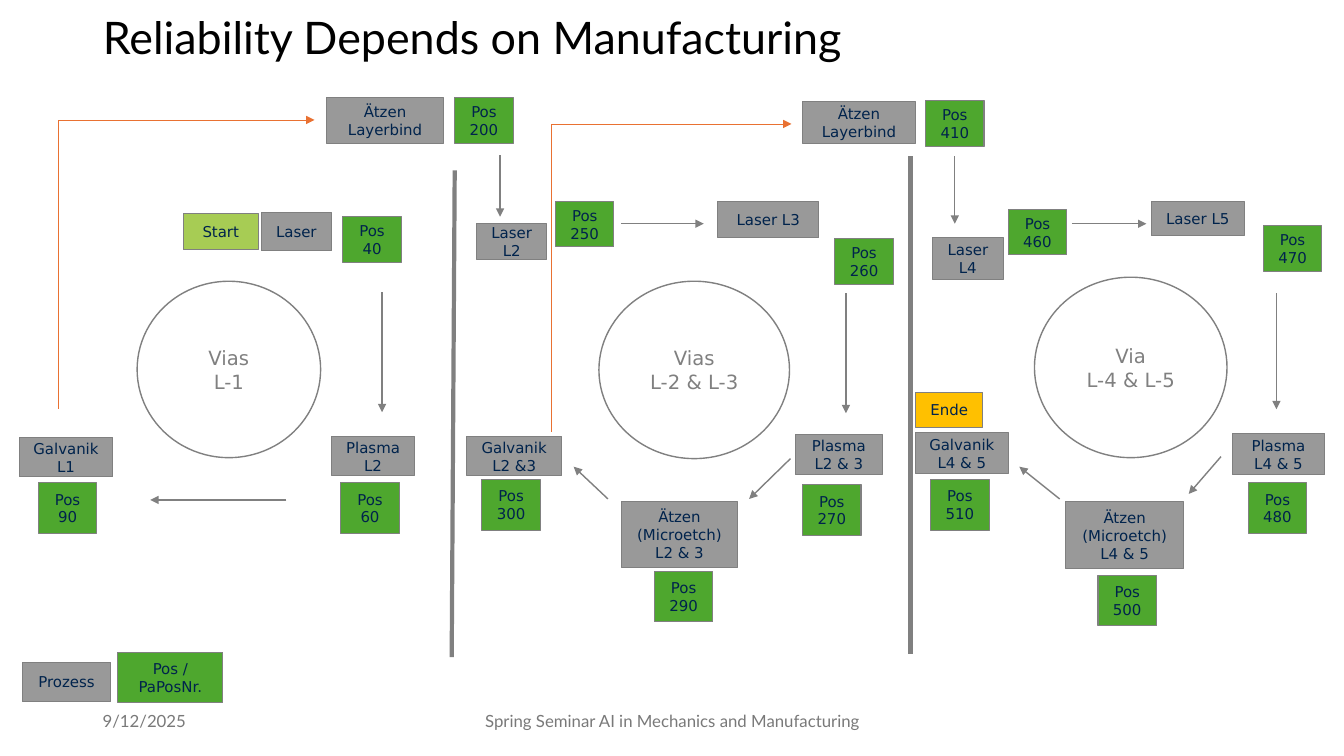
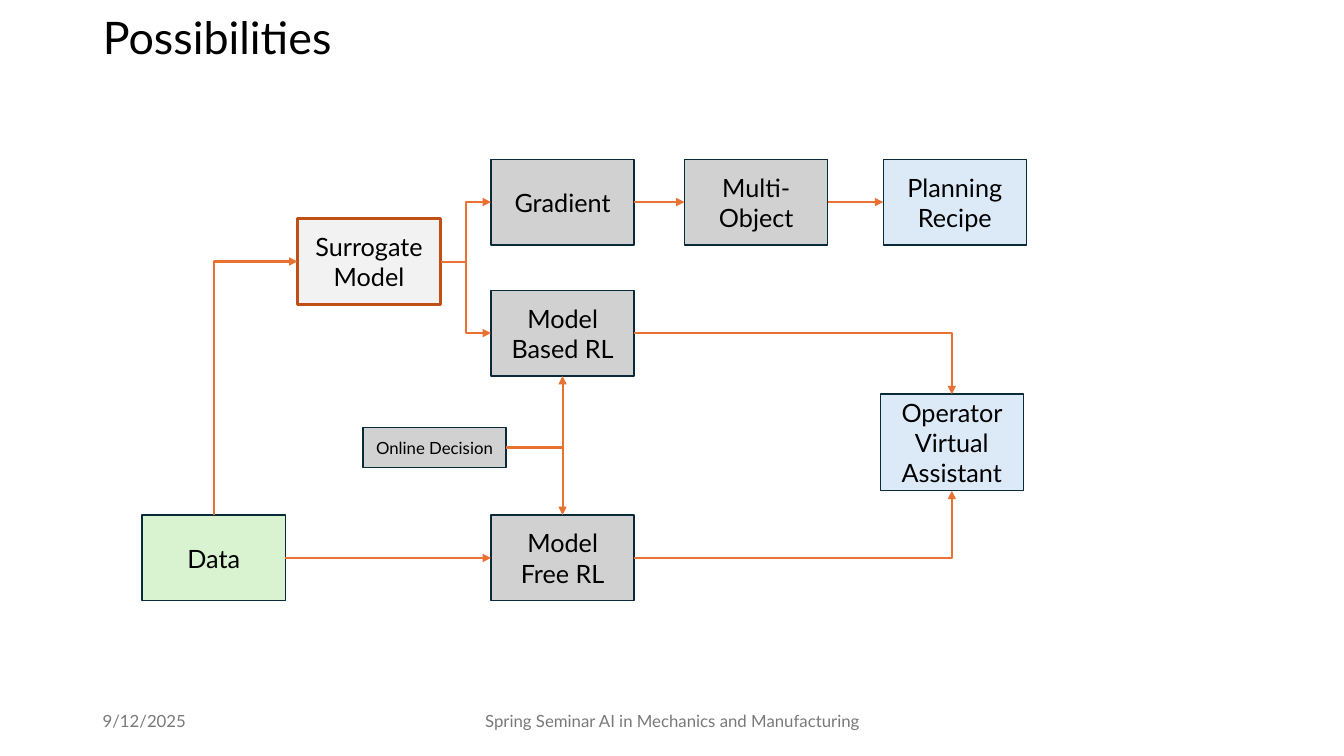
from lxml import etree
from pptx import Presentation
from pptx.dml.color import RGBColor
from pptx.enum.shapes import MSO_CONNECTOR, MSO_SHAPE
from pptx.enum.text import MSO_ANCHOR, MSO_AUTO_SIZE, PP_ALIGN
from pptx.oxml.ns import qn
from pptx.util import Inches, Pt

RECTANGLE, OVAL = MSO_SHAPE.RECTANGLE, MSO_SHAPE.OVAL
STRAIGHT, ELBOW = MSO_CONNECTOR.STRAIGHT, MSO_CONNECTOR.ELBOW
LEFT, CENTER = PP_ALIGN.LEFT, PP_ALIGN.CENTER
TOP, MIDDLE = MSO_ANCHOR.TOP, MSO_ANCHOR.MIDDLE
NO_FIT = MSO_AUTO_SIZE.NONE
TITLE_ONLY = 5
SITE = {"top": 0, "left": 1, "bottom": 2, "right": 3}

COLORS = {
    "black": "000000", "white": "FFFFFF", "footer": "797979",
    "navy": "00234C", "gray": "808080", "process": "999999",
    "position": "4EA72E", "start": "A7CC54", "end": "FFC000",
    "orange": "E97132", "outline": "092A39", "rust": "C04F15",
    "method": "D1D1D1", "model": "F2F2F2", "result": "DCEAF7", "data": "D9F2D0",
}
BODY_FONT, CHART_FONT = "Lato", "DejaVu Sans"

# The grid has cells of one inch: 13.33 columns by 7.5 rows
COLUMNS, ROWS = 13.33, 7.5
MARGIN = 0.92

# Manufacturing: text, left, top, width, height
PROCESSES = [
    ("Laser", 2.59, 2.11, 0.7, 0.38),
    ("Plasma L2", 3.29, 4.33, 0.82, 0.39),
    ("Galvanik L1", 0.19, 4.34, 0.93, 0.39),
    ("Ätzen Layerbind", 3.24, 0.97, 1.16, 0.45),
    ("Laser L2", 4.73, 2.22, 0.69, 0.36),
    ("Laser L3", 7.12, 2, 1, 0.36),
    ("Plasma\nL2 & 3", 7.89, 4.31, 0.86, 0.4),
    ("Ätzen (Microetch) L2 & 3", 6.16, 4.98, 1.16, 0.65),
    ("Galvanik\nL2 &3", 4.63, 4.33, 0.94, 0.39),
    ("Ätzen Layerbind", 7.96, 1.01, 1.12, 0.41),
    ("Laser L4", 9.25, 2.36, 0.7, 0.41),
    ("Laser L5", 11.42, 2, 0.92, 0.34),
    ("Plasma L4 & 5", 12.22, 4.3, 0.92, 0.41),
    ("Ätzen (Microetch)\nL4 & 5", 10.57, 4.98, 1.17, 0.66),
    ("Galvanik\nL4 & 5", 9.08, 4.29, 0.92, 0.41),
    ("Prozess", 0.22, 6.57, 0.88, 0.39),
]
# Position number, left, top; grouped by the height of the box
POSITION_WIDTH = 0.58
POSITIONS = {
    0.45: [(40, 3.4, 2.15), (200, 4.51, 0.97), (250, 5.51, 2), (260, 8.28, 2.37),
           (410, 9.18, 1), (460, 10, 2.08), (470, 12.53, 2.24)],
    0.5: [(60, 3.38, 4.79), (90, 0.38, 4.79), (270, 7.96, 4.81), (290, 6.49, 5.67),
          (300, 4.78, 4.76), (480, 12.38, 4.79), (500, 10.89, 5.71), (510, 9.23, 4.76)],
}
VIAS = [
    ("Vias\nL-1", 1.36, 2.79, 1.82, 1.75),
    ("Vias\nL-2 & L-3", 5.94, 2.79, 1.89, 1.76),
    ("Via\nL-4 & L-5", 10.26, 2.75, 1.91, 1.79),
]
DIVIDERS = [((4.51, 1.69), (4.48, 6.52)), ((9.03, 1.55), (9.03, 6.49))]
STEPS = [
    ((3.79, 2.9), (3.79, 4.09)), ((2.84, 4.96), (1.49, 4.96)),
    ((4.96, 1.54), (4.96, 2.15)), ((6.16, 2.22), (6.98, 2.22)),
    ((8.39, 2.91), (8.39, 4.1)), ((7.84, 4.55), (7.43, 4.95)),
    ((6.03, 4.95), (5.69, 4.63)), ((9.47, 1.55), (9.47, 2.22)),
    ((10.63, 2.22), (11.37, 2.22)), ((12.66, 2.91), (12.66, 4.06)),
    ((12.11, 4.53), (11.79, 4.9)), ((10.51, 4.95), (10.11, 4.63)),
]
RETURNS = [((3.12, 1.19), (0.58, 4.06)), ((7.85, 1.23), (5.47, 4.29))]

# Possibilities: text, fill, left, top, height
NODE_WIDTH, NODE_HEIGHT = 1.42, 0.85
NODES = [
    ("Surrogate Model", "model", 2.95, 2.17, NODE_HEIGHT),
    ("Gradient", "method", 4.87, 1.58, NODE_HEIGHT),
    ("Multi-Object", "method", 6.79, 1.58, NODE_HEIGHT),
    ("Planning Recipe", "result", 8.76, 1.58, NODE_HEIGHT),
    ("Model Based RL", "method", 4.87, 2.88, NODE_HEIGHT),
    ("Online Decision", "method", 3.6, 4.24, 0.4),
    ("Operator Virtual Assistant", "result", 8.73, 3.91, 0.96),
    ("Data", "data", 1.41, 5.11, NODE_HEIGHT),
    ("Model Free RL", "method", 4.87, 5.11, NODE_HEIGHT),
]
# Kind, first node and side, second node and side, end with the arrowhead
LINKS = [
    ("straight", "Gradient", "right", "Multi-Object", "left", "tail"),
    ("straight", "Multi-Object", "right", "Planning Recipe", "left", "tail"),
    ("straight", "Data", "right", "Model Free RL", "left", "tail"),
    ("step", "Surrogate Model", "right", "Gradient", "left", "tail"),
    ("step", "Surrogate Model", "right", "Model Based RL", "left", "tail"),
    ("corner", "Surrogate Model", "left", "Data", "top", "head"),
    ("corner", "Online Decision", "right", "Model Based RL", "bottom", "tail"),
    ("corner", "Online Decision", "right", "Model Free RL", "top", "tail"),
    ("corner", "Model Based RL", "right", "Operator Virtual Assistant", "top", "tail"),
    ("corner", "Model Free RL", "right", "Operator Virtual Assistant", "bottom", "tail"),
]


def color(name):
    return RGBColor.from_string(COLORS[name])


def grid(*cells):
    return [Inches(cell) for cell in cells]


def write(frame, text, size=12, font=BODY_FONT, ink="black", align=CENTER,
          anchor=MIDDLE, spacing=None):
    """Fill a text frame, one paragraph per line of text."""
    frame.word_wrap = True
    frame.auto_size = NO_FIT
    frame.vertical_anchor = anchor
    for index, line in enumerate(text.split("\n")):
        para = frame.add_paragraph() if index else frame.paragraphs[0]
        para.alignment = align
        if spacing:
            para.line_spacing = spacing
        span = para.add_run()
        span.text = line
        span.font.size = Pt(size)
        span.font.name = font
        span.font.color.rgb = color(ink)


def add_box(page, text, place, fill, line="gray", weight=0.75, kind=RECTANGLE, **style):
    box = page.shapes.add_shape(kind, *grid(*place))
    box.shadow.inherit = False
    box.fill.solid()
    box.fill.fore_color.rgb = color(fill)
    box.line.color.rgb = color(line)
    box.line.width = Pt(weight)
    write(box.text_frame, text, **style)
    return box


def add_label(page, text, place, **style):
    write(page.shapes.add_textbox(*grid(*place)).text_frame, text, **style)


def add_line(page, start=(0, 0), end=(0, 0), kind=STRAIGHT, ink="gray", weight=1, arrow=None):
    """Draw a connector; arrow is "head" (at start) or "tail" (at end)."""
    line = page.shapes.add_connector(kind, *grid(*start, *end))
    line.line.color.rgb = color(ink)
    line.line.width = Pt(weight)
    properties = line.element.spPr
    if arrow:
        stroke = properties.find(qn("a:ln"))
        etree.SubElement(stroke, qn(f"a:{arrow}End"), type="triangle")
    etree.SubElement(properties, qn("a:effectLst"))
    return line


def add_return(page, start, end):
    """Draw an elbow whose upright part stands at its far end."""
    line = add_line(page, start, end, ELBOW, ink="orange", weight=0.5, arrow="head")
    geometry = line.element.spPr.find(qn("a:prstGeom"))
    values = geometry.find(qn("a:avLst"))
    if values is None:
        values = etree.SubElement(geometry, qn("a:avLst"))
    etree.SubElement(values, qn("a:gd"), name="adj1", fmla="val 100000")


def add_link(page, kind, first, first_side, second, second_side, arrow):
    """Join two boxes by a straight line, a step or a single corner."""
    line = add_line(page, kind=STRAIGHT if kind == "straight" else ELBOW,
                    ink="orange", weight=1.5, arrow=arrow)
    line.begin_connect(first, SITE[first_side])
    line.end_connect(second, SITE[second_side])
    if kind == "corner":
        line.element.spPr.find(qn("a:prstGeom")).set("prst", "bentConnector2")


def add_page(deck, heading):
    """Add a page with the shared title and footers."""
    page = deck.slides.add_slide(deck.slide_layouts[TITLE_ONLY])
    title = page.shapes.title
    title.left, title.top, title.width, title.height = grid(MARGIN, 0.11, 11.5, 0.63)
    write(title.text_frame, heading, size=32, align=LEFT, anchor=TOP, spacing=0.9)
    add_label(page, "9/12/2025", (MARGIN, 6.95, 3, 0.4), ink="footer", align=LEFT)
    add_label(page, "Spring Seminar AI in Mechanics and Manufacturing",
              (4.42, 6.95, 4.5, 0.4), ink="footer")
    return page


def build_manufacturing(deck):
    page = add_page(deck, "Reliability Depends on Manufacturing")
    small = {"size": 10.7, "font": CHART_FONT, "ink": "navy"}
    # Boxes and circles
    for text, *place in VIAS:
        add_box(page, text, place, "white", weight=1, kind=OVAL,
                size=14, font=CHART_FONT, ink="gray")
    for text, *place in PROCESSES:
        add_box(page, text, place, "process", **small)
    for height, positions in POSITIONS.items():
        for number, left, top in positions:
            place = (left, top, POSITION_WIDTH, height)
            add_box(page, f"Pos {number}", place, "position", **small)
    add_box(page, "Pos / PaPosNr.", (1.17, 6.47, 1.04, 0.5), "position", **small)
    add_box(page, "Start", (1.82, 2.12, 0.74, 0.36), "start", **small)
    add_box(page, "Ende", (9.08, 3.89, 0.67, 0.35), "end", **small)
    # Dividers and arrows
    for start, end in DIVIDERS:
        add_line(page, start, end, weight=3)
    for start, end in STEPS:
        add_line(page, start, end, arrow="tail")
    for start, end in RETURNS:
        add_return(page, start, end)


def build_possibilities(deck):
    page = add_page(deck, "Possibilities")
    nodes = {}
    for text, fill, left, top, height in NODES:
        line, weight = ("rust", 2.25) if fill == "model" else ("outline", 1)
        nodes[text] = add_box(page, text, (left, top, NODE_WIDTH, height), fill, line, weight,
                              size=18 if height >= NODE_HEIGHT else 12)
    for kind, first, first_side, second, second_side, arrow in LINKS:
        add_link(page, kind, nodes[first], first_side, nodes[second], second_side, arrow)


def main():
    deck = Presentation()
    deck.slide_width, deck.slide_height = grid(COLUMNS, ROWS)
    build_manufacturing(deck)
    build_possibilities(deck)
    deck.save("out.pptx")


if __name__ == "__main__":
    main()
